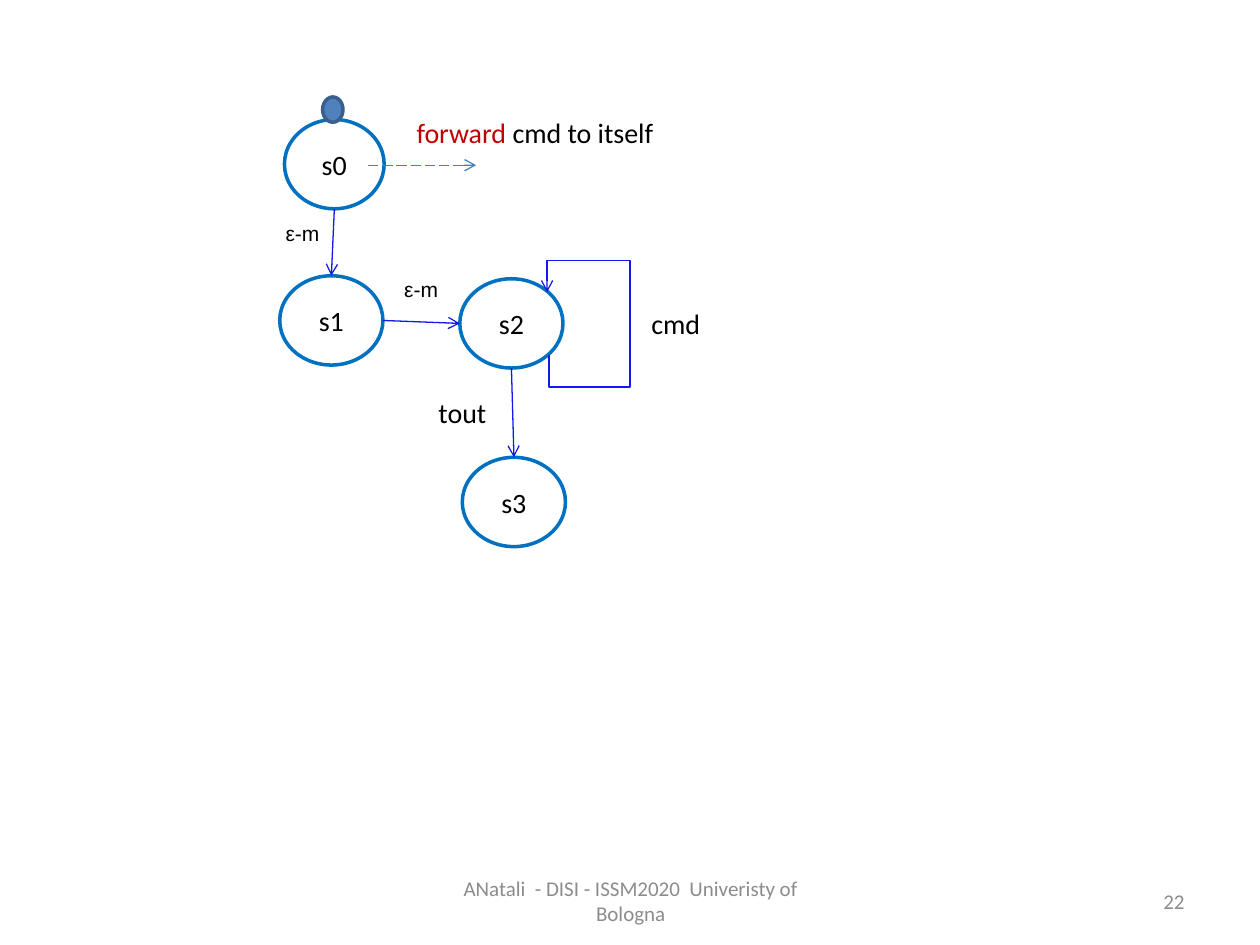
from lxml import etree
from pptx import Presentation
from pptx.dml.color import RGBColor
from pptx.enum import dml, shapes, text
from pptx.oxml import ns
from pptx.util import Cm, Pt

BLUE, BLACK, GREY = "1318ED", "000000", "8C8C8C"
STATE_HEIGHT = 1.8
STATES = {
    "s0": (6.74, 3.31, 2.01),
    "s1": (6.68, 6.46, 2.08),
    "s2": (10.31, 6.52, 2.08),
    "s3": (10.36, 10.12, 2.08),
}
START_DOT = (6.71, 2.21, 0.41, 0.51)
TRANSITIONS = [("s0", "s1", "down"), ("s1", "s2", "right"), ("s2", "s3", "down")]
FORWARD_ARROW = (7.42, 3.33, 9.6, 3.33)
LOOP = {"start": (11.07, 7.16), "end": (11.03, 5.89), "overhang": 0.64, "right": 12.7}
LABELS = [
    (5.51, 4.32, 1.19, 0.76, "Arial", 12, [("ε-m", BLACK)]),
    (7.9, 5.46, 1.19, 0.76, "Arial", 12, [("ε-m", BLACK)]),
    (12.88, 6.05, 1.5, 0.94, "Calibri", 16, [("cmd", BLACK)]),
    (8.59, 7.85, 1.5, 0.94, "Calibri", 16, [("tout", BLACK)]),
    (8.15, 2.21, 5.36, 0.94, "Calibri", 16, [("forward ", "C00000"), ("cmd to itself", BLACK)]),
]
FOOTERS = [
    (8.69, 8.05, "ANatali  - DISI - ISSM2020  Univeristy of Bologna", text.PP_ALIGN.CENTER),
    (18.21, 5.92, "22", text.PP_ALIGN.RIGHT),
]


def color(value):
    return RGBColor.from_string(value)


def add_ellipse(slide, center_x, center_y, width, height, fill, line):
    shape = slide.shapes.add_shape(
        shapes.MSO_SHAPE.OVAL, Cm(center_x - width / 2), Cm(center_y - height / 2),
        Cm(width), Cm(height))
    shape.shadow.inherit = False
    shape.fill.solid()
    shape.fill.fore_color.rgb = color(fill)
    shape.line.color.rgb = color(line)
    shape.line.width = Pt(2)
    return shape


def add_text(slide, left, top, width, height, font, size, runs,
             align=text.PP_ALIGN.LEFT, anchor=text.MSO_ANCHOR.TOP, wrap=False):
    box = slide.shapes.add_textbox(Cm(left), Cm(top), Cm(width), Cm(height))
    frame = box.text_frame
    frame.word_wrap = wrap
    frame.vertical_anchor = anchor
    paragraph = frame.paragraphs[0]
    paragraph.alignment = align
    paragraph.font.name = font
    paragraph.font.size = Pt(size)
    for wording, run_color in runs:
        run = paragraph.add_run()
        run.text = wording
        run.font.color.rgb = color(run_color)


def add_arrow(slide, kind, points, line_color, dash=None):
    connector = slide.shapes.add_connector(kind, *[Cm(value) for value in points])
    connector.line.color.rgb = color(line_color)
    connector.line.width = Pt(0.75)
    if dash:
        connector.line.dash_style = dash
    properties = connector.element.spPr
    etree.SubElement(properties.find(ns.qn("a:ln")), ns.qn("a:tailEnd"), type="arrow")
    etree.SubElement(properties, ns.qn("a:effectLst"))
    return connector


def add_loop(slide, start, end, overhang, right):
    length, offset = start[1] - end[1], start[0] - end[0]
    center_x, center_y = (start[0] + end[0]) / 2, (start[1] + end[1]) / 2
    connector = add_arrow(
        slide, shapes.MSO_CONNECTOR.ELBOW,
        (center_x + length / 2, center_y - offset / 2,
         center_x - length / 2, center_y + offset / 2), BLUE)
    properties = connector.element.spPr
    properties.find(ns.qn("a:xfrm")).set("rot", "5400000")
    geometry = properties.find(ns.qn("a:prstGeom"))
    geometry.set("prst", "bentConnector5")
    guides = geometry.find(ns.qn("a:avLst"))
    ratios = (-overhang / length, (start[0] - right) / offset, 1 + overhang / length)
    for number, ratio in enumerate(ratios, 1):
        etree.SubElement(guides, ns.qn("a:gd"), name=f"adj{number}",
                         fmla=f"val {round(ratio * 100000)}")


def transition_points(source, target, direction):
    x1, y1, width1 = STATES[source]
    x2, y2, width2 = STATES[target]
    if direction == "down":
        return x1, y1 + STATE_HEIGHT / 2, x2, y2 - STATE_HEIGHT / 2
    return x1 + width1 / 2, y1, x2 - width2 / 2, y2


def main():
    presentation = Presentation()
    presentation.slide_width, presentation.slide_height = Cm(25.4), Cm(19.05)
    slide = presentation.slides.add_slide(presentation.slide_layouts[6])

    for left, width, wording, align in FOOTERS:
        add_text(slide, left, 17.65, width, 1.02, "Calibri", 12, [(wording, GREY)],
                 align, text.MSO_ANCHOR.MIDDLE, True)
    for name, (x, y, width) in STATES.items():
        state = add_ellipse(slide, x, y, width, STATE_HEIGHT, "FFFFFF", "0070C0")
        state.text_frame.text = name
        paragraph = state.text_frame.paragraphs[0]
        paragraph.alignment = text.PP_ALIGN.CENTER
        paragraph.font.name = "Calibri"
        paragraph.font.size = Pt(16)
        paragraph.font.color.rgb = color(BLACK)
    add_ellipse(slide, *START_DOT, "4F81BD", "3A5F8C")

    straight = shapes.MSO_CONNECTOR.STRAIGHT
    for transition in TRANSITIONS:
        add_arrow(slide, straight, transition_points(*transition), BLUE)
    add_loop(slide, **LOOP)
    add_arrow(slide, straight, FORWARD_ARROW, "4B7EBC", dml.MSO_LINE.LONG_DASH)
    for label in LABELS:
        add_text(slide, *label)

    presentation.save("out.pptx")


if __name__ == "__main__":
    main()
